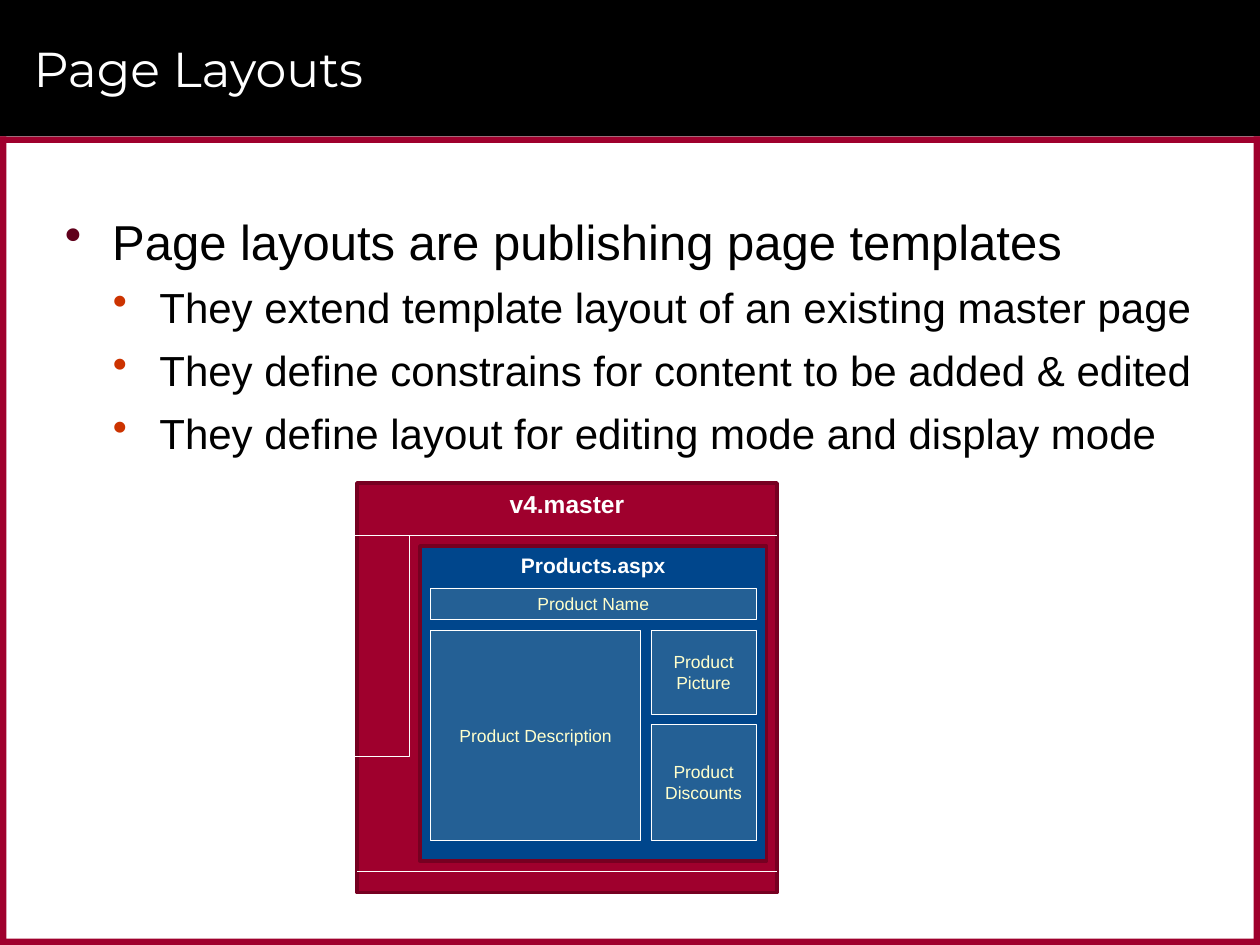
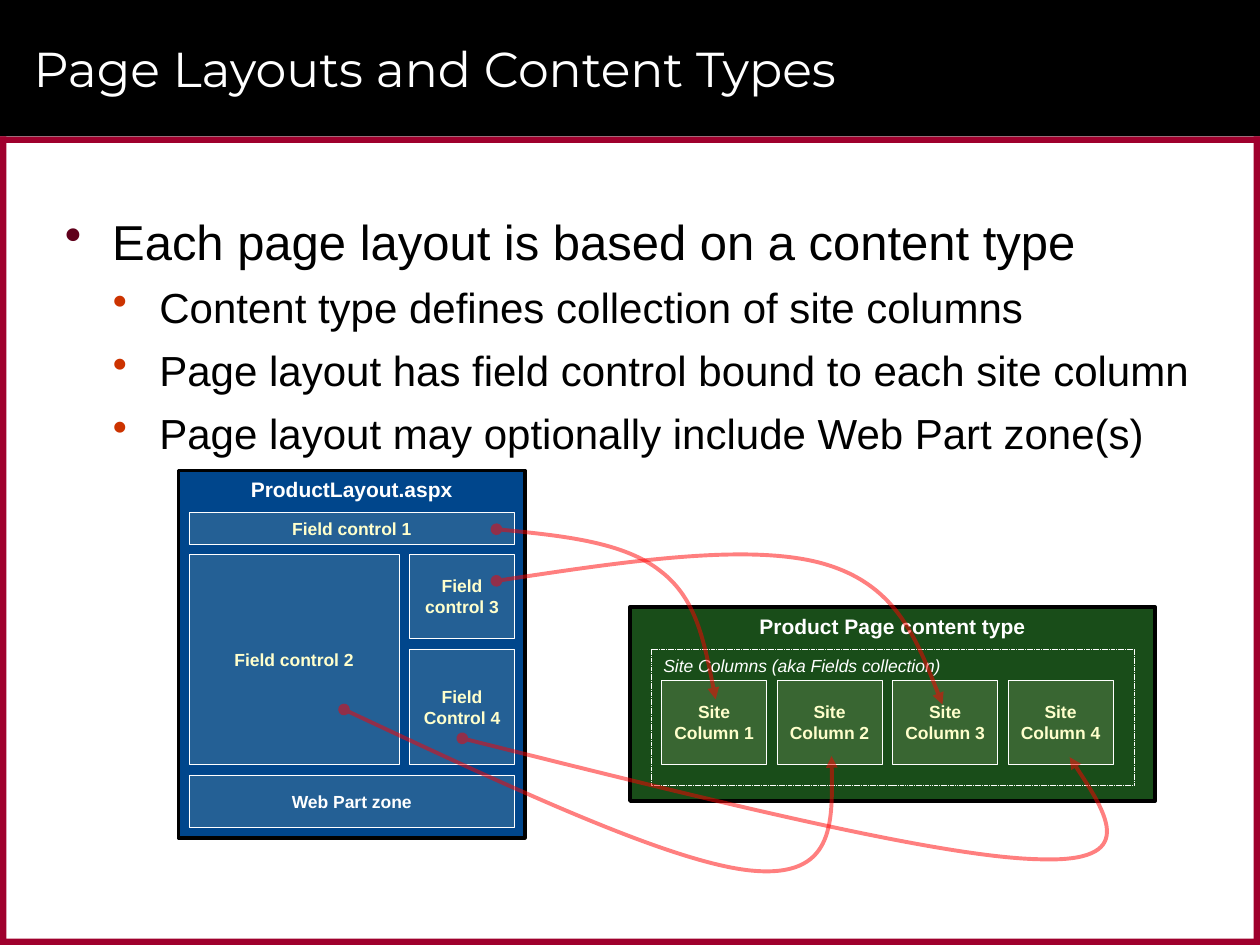
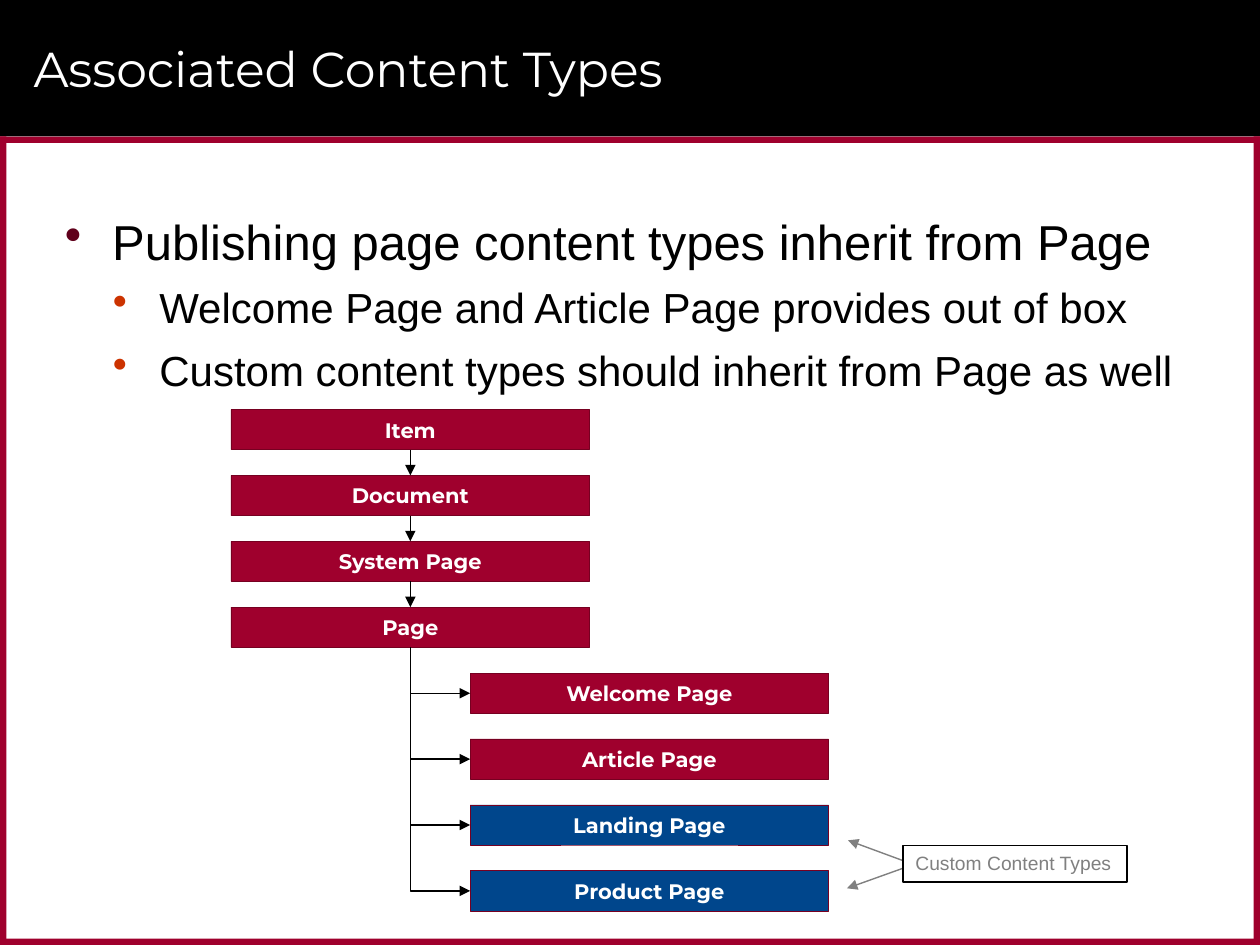
from lxml import etree
from pptx import Presentation
from pptx.dml.color import RGBColor
from pptx.enum.dml import MSO_LINE
from pptx.enum.shapes import MSO_CONNECTOR, MSO_SHAPE
from pptx.enum.text import MSO_ANCHOR, PP_ALIGN
from pptx.oxml.ns import qn
from pptx.util import Pt

RECTANGLE = MSO_SHAPE.RECTANGLE
STRAIGHT, ELBOW = MSO_CONNECTOR.STRAIGHT, MSO_CONNECTOR.ELBOW
LEFT, CENTER = PP_ALIGN.LEFT, PP_ALIGN.CENTER
TOP, MIDDLE = MSO_ANCHOR.TOP, MSO_ANCHOR.MIDDLE
DASH = MSO_LINE.SQUARE_DOT

WIDTH, HEIGHT = 720, 540
HEADER_HEIGHT, BORDER = 78, 3.6
BLACK, WHITE, GRAY = "000000", "FFFFFF", "808080"
CRIMSON, MAROON, BLUE, GREEN = "9F002D", "760021", "00468C", "194D19"
CREAM, RED = "FFFFCC", "FF0000"
BULLET_COLORS = ("60001B", "CC3300")
BODY_FONT, TITLE_FONT = "Arial", "Montserrat"
HAIRLINE, THIN, THICK = 0.25, 0.79, 2


def paint(fill, color, alpha=None):
    """Fill with a hex colour, or clear the fill when there is none."""
    if color is None:
        fill.background()
        return
    fill.solid()
    fill.fore_color.rgb = RGBColor.from_string(color)
    if alpha:
        element = fill._xPr.find(".//" + qn("a:srgbClr"))
        etree.SubElement(element, qn("a:alpha"), val=str(alpha * 1000))


def draw_line(line, color, width, alpha=None, head=None, tail=None):
    paint(line.fill, color, alpha)
    line.width = Pt(width)
    for tag, kind in (("a:headEnd", head), ("a:tailEnd", tail)):
        if kind:
            etree.SubElement(line.fill._xPr, qn(tag), type=kind)


def write(para, text, size=12, color=WHITE, font=BODY_FONT, bold=False,
          italic=False, align=LEFT):
    para.alignment = align
    span = para.add_run()
    span.text = text
    span.font.name = font
    span.font.size = Pt(size)
    span.font.bold = bold
    span.font.italic = italic
    span.font.color.rgb = RGBColor.from_string(color)


def place(shape, left, top, width, height):
    shape.left, shape.top = Pt(left), Pt(top)
    shape.width, shape.height = Pt(width), Pt(height)


def add_box(page, area, fill=None, alpha=None, line=None, width=HAIRLINE,
            dash=None, text=None, anchor=TOP, inset=7.2, wrap=True,
            **text_format):
    box = page.shapes.add_shape(RECTANGLE, *map(Pt, area))
    box.shadow.inherit = False
    paint(box.fill, fill, alpha)
    draw_line(box.line, line, width)
    if dash:
        box.line.dash_style = dash
    if text:
        frame = box.text_frame
        frame.word_wrap = wrap
        frame.vertical_anchor = anchor
        frame.margin_left = frame.margin_right = Pt(inset)
        write(frame.paragraphs[0], text, **text_format)
    return box


def add_field(page, area, text, color=CREAM, bold=True):
    """Translucent field box inside a page or content type."""
    add_box(page, area, fill=CREAM, alpha=14, line=WHITE, text=text,
            anchor=MIDDLE, inset=4, size=10, color=color, bold=bold,
            align=CENTER)


def add_line(page, start, end, color=BLACK, tail=None, kind=STRAIGHT):
    line = page.shapes.add_connector(kind, *map(Pt, (*start, *end)))
    draw_line(line.line, color, THIN, tail=tail)
    etree.SubElement(line.element.spPr, qn("a:effectLst"))
    return line


def add_corner_arrow(page, start, end):
    """Arrow that runs down first and then turns right, with one bend."""
    arrow = add_line(page, start, end, tail="triangle", kind=ELBOW)
    across, down = end[0] - start[0], end[1] - start[1]
    place(arrow, (start[0] + end[0] - down) / 2,
          (start[1] + end[1] - across) / 2, down, across)
    properties = arrow.element.spPr
    properties.find(qn("a:prstGeom")).set("prst", "bentConnector2")
    transform = properties.find(qn("a:xfrm"))
    transform.set("rot", "16200000")
    transform.set("flipH", "1")


def add_curve(page, points):
    """Curved arrow: a start point, then three points for each segment."""
    corners = [(Pt(x), Pt(y)) for x, y in points]
    builder = page.shapes.build_freeform(*corners[0])
    builder.add_line_segments(corners[1:], close=False)
    curve = builder.convert_to_shape()
    curve.shadow.inherit = False
    paint(curve.fill, None)
    draw_line(curve.line, RED, 2.25, alpha=50, head="oval", tail="triangle")
    outline = curve.element.spPr.find(".//" + qn("a:path"))
    steps = outline.findall(qn("a:lnTo"))
    for first in range(0, len(steps), 3):
        bend = etree.SubElement(outline, qn("a:cubicBezTo"))
        for step in steps[first:first + 3]:
            bend.append(step[0])
            outline.remove(step)


def add_bands(page, layout):
    """Header band and frame, kept on the layout that all slides share."""
    side = HEIGHT - HEADER_HEIGHT
    bands = [
        ((0, 0, WIDTH, HEADER_HEIGHT), BLACK),
        ((0, HEADER_HEIGHT, WIDTH, BORDER), CRIMSON),
        ((0, HEIGHT - BORDER, WIDTH, BORDER), CRIMSON),
        ((WIDTH - BORDER, HEADER_HEIGHT, BORDER, side), CRIMSON),
        ((0, HEADER_HEIGHT, BORDER, side), CRIMSON),
    ]
    for index, (area, color) in enumerate(bands):
        band = add_box(page, area, fill=color).element
        band.nvSpPr.cNvPr.set("id", str(100 + index))
        layout.shapes.element.insert(2 + index, band)


def add_page(deck, title, bullets):
    layout = deck.slide_layouts[5]
    page = deck.slides.add_slide(layout)
    if len(deck.slides) == 1:
        add_bands(page, layout)
    place(page.shapes.title, 12, 6, 678, 66)
    frame = page.shapes.title.text_frame
    frame.vertical_anchor = MIDDLE
    write(frame.paragraphs[0], title, size=28, font=TITLE_FONT)

    # The first bullet is the main point, the rest sit one level below
    box = page.shapes.add_textbox(Pt(30), Pt(117.4), Pt(660), Pt(150))
    frame = box.text_frame
    frame.word_wrap = True
    for index, text in enumerate(bullets):
        level = min(index, 1)
        para = frame.add_paragraph() if index else frame.paragraphs[0]
        para.level = level
        properties = para._p.get_or_add_pPr()
        properties.set("marL", str(Pt((27, 54)[level])))
        properties.set("indent", str(-Pt((27, 26.6)[level])))
        color = etree.SubElement(properties, qn("a:buClr"))
        etree.SubElement(color, qn("a:srgbClr"), val=BULLET_COLORS[level])
        etree.SubElement(properties, qn("a:buChar"), char="•")
        para.space_before = Pt((0, 3.6)[level])
        para.space_after = Pt((2.8, 3.6)[level])
        write(para, text, size=(28, 24)[level], color=BLACK)
    return page


def add_layout_page(page, left, top, height, line, name, labels, bold=True):
    """Blue page with a name row, a main field and two fields beside it."""
    add_box(page, (left, top, 198, height), fill=BLUE, line=line, width=THICK,
            text=name, bold=True, align=CENTER)
    areas = [(6, 48, 120, 120), (6, 24, 186, 18),
             (132, 48, 60, 48), (132, 102, 60, 66)]
    for (x, y, width, depth), label in zip(areas, labels):
        add_field(page, (left + x, top + y, width, depth), label, bold=bold)


def build_page_layouts(deck):
    page = add_page(deck, "Page Layouts", [
        "Page layouts are publishing page templates",
        "They extend template layout of an existing master page",
        "They define constrains for content to be added & edited",
        "They define layout for editing mode and display mode",
    ])
    add_box(page, (204, 276, 240, 234), fill=CRIMSON, line=MAROON, width=THICK,
            text="v4.master", size=14, bold=True, align=CENTER)
    add_line(page, (444, 306), (204, 306), WHITE)
    add_box(page, (198, 306, 36, 126), line=WHITE)
    add_layout_page(page, 240, 312, 180, MAROON, "Products.aspx", [
        "Product Description", "Product Name", "Product Picture",
        "Product Discounts"], bold=False)
    add_line(page, (444, 498), (204, 498), WHITE)


def build_content_types(deck):
    page = add_page(deck, "Page Layouts and Content Types", [
        "Each page layout is based on a content type",
        "Content type defines collection of site columns",
        "Page layout has field control bound to each site column",
        "Page layout may optionally include Web Part zone(s)",
    ])
    # Page layout with its field controls
    add_layout_page(page, 102, 268.8, 210, BLACK, "ProductLayout.aspx", [
        "Field control 2", "Field control 1", "Field control 3",
        "Field Control 4"])
    add_field(page, (108, 442.8, 186, 30), "Web Part zone", color=WHITE)

    # Content type with its site columns
    add_box(page, (360, 346.8, 300, 111), fill=GREEN, line=BLACK, width=THICK,
            text="Product Page content type", bold=True, align=CENTER)
    add_box(page, (372, 370.8, 276, 78), fill=GREEN, line=WHITE, dash=DASH,
            text="Site Columns (aka Fields collection)", size=10, italic=True)
    for index in range(4):
        add_field(page, (378 + 66 * index, 388.8, 60, 48),
                  f"Site Column {index + 1}")

    # Bindings from field control to site column
    bindings = [
        [(283.7, 302.4), (319.7, 306), (356.4, 309.6), (377.3, 326.2),
         (398.2, 342), (403.2, 370.8), (409, 399.6)],
        [(196.6, 405.4), (290.2, 449.3), (383.8, 493.2), (429.8, 497.5),
         (476.6, 501.8), (475.9, 467.3), (475.2, 432)],
        [(283.7, 331.9), (355, 321.1), (427, 310.3), (469.4, 321.8),
         (511.9, 333.4), (524.9, 367.9), (538.6, 402.5)],
        [(264.2, 421.9), (399.6, 455.8), (535, 489.6), (593.3, 491),
         (650.9, 493.2), (631.4, 463), (611.3, 432.7)],
    ]
    for points in bindings:
        add_curve(page, points)


def build_associated_types(deck):
    page = add_page(deck, "Associated Content Types", [
        "Publishing page content types inherit from Page",
        "Welcome Page and Article Page provides out of box",
        "Custom content types should inherit from Page as well",
    ])
    first_top, step, width, height = 234, 37.65, 205, 23
    parent_left, child_left = 132, 268.6
    types = [
        ("Item", parent_left, CRIMSON), ("Document", parent_left, CRIMSON),
        ("System Page", parent_left, CRIMSON), ("Page", parent_left, CRIMSON),
        ("Welcome Page", child_left, CRIMSON),
        ("Article Page", child_left, CRIMSON),
        ("Landing Page", child_left, BLUE), ("Product Page", child_left, BLUE),
    ]
    boxes = [
        add_box(page, (left, first_top + step * row, width, height),
                fill=color, line=MAROON, text=name, anchor=MIDDLE,
                font=TITLE_FONT, bold=True, align=CENTER)
        for row, (name, left, color) in enumerate(types)
    ]

    # Inheritance chain, then the branches below Page
    parents = boxes[:4]
    for upper, lower in zip(parents, parents[1:]):
        arrow = add_line(page, (0, 0), (0, 0), tail="triangle")
        arrow.begin_connect(upper, 2)
        arrow.end_connect(lower, 0)
    trunk = (parent_left + width / 2, first_top + 3 * step + height)
    for row in range(4, 8):
        middle = first_top + step * row + height / 2
        add_corner_arrow(page, trunk, (child_left, middle))

    # Callout for the custom types
    for tip in ((484.6, 480.2), (484, 507.6)):
        add_line(page, (522, 494), tip, GRAY, tail="triangle")
    add_box(page, (516, 483, 128, 21), fill=WHITE, line=BLACK, width=0.75,
            text="Custom Content Types", wrap=False, size=11, color=GRAY)


def main():
    deck = Presentation()
    deck.slide_width, deck.slide_height = Pt(WIDTH), Pt(HEIGHT)
    build_page_layouts(deck)
    build_content_types(deck)
    build_associated_types(deck)
    deck.save("out.pptx")


if __name__ == "__main__":
    main()
